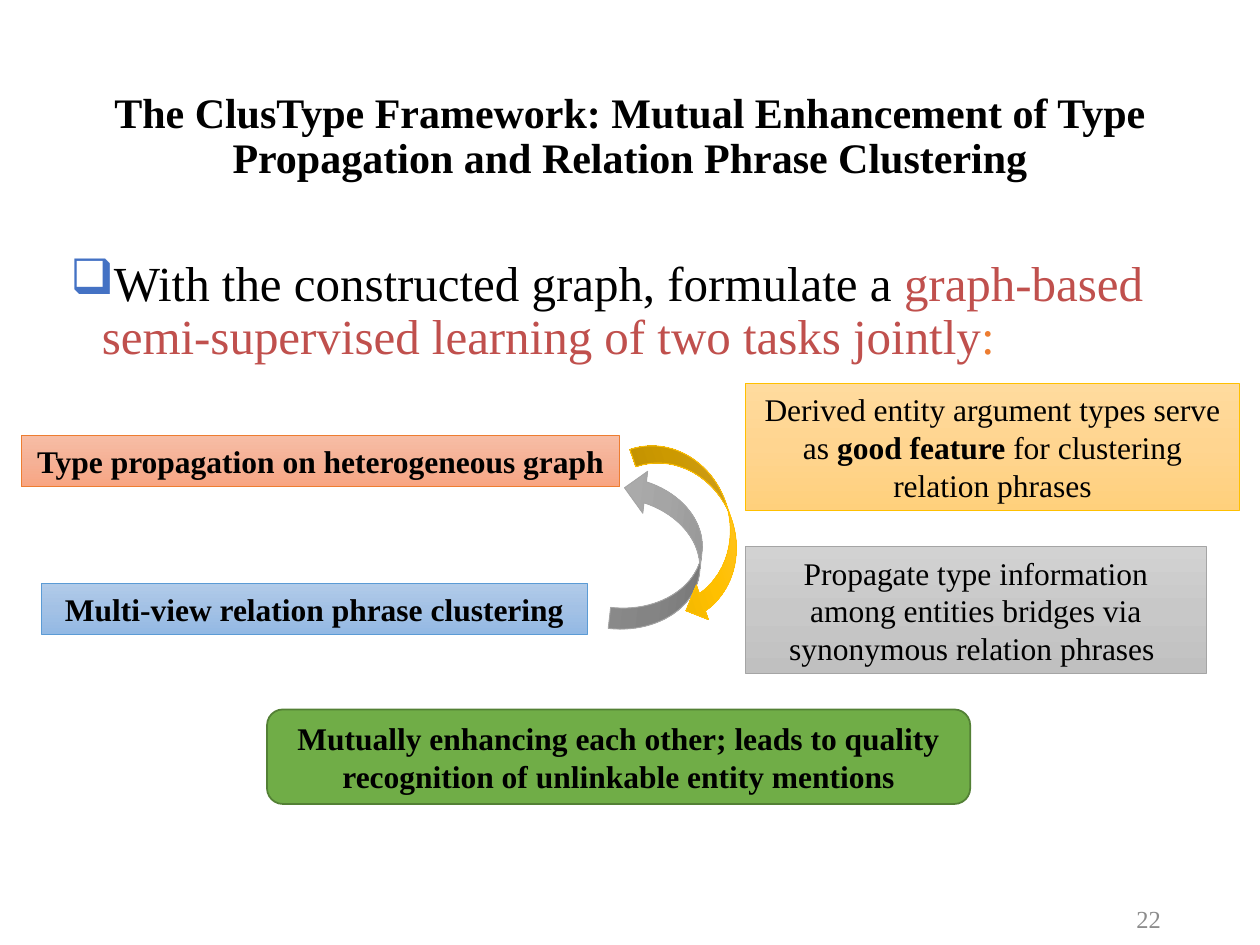
import copy

import pptx
import pptx.dml.color
import pptx.enum.shapes
import pptx.enum.text
import pptx.oxml
import pptx.oxml.ns
import pptx.util

Pt = pptx.util.Pt
SHAPES = pptx.enum.shapes.MSO_SHAPE
ALIGN = pptx.enum.text.PP_ALIGN
ANCHOR = pptx.enum.text.MSO_ANCHOR
FONT = "Times New Roman"

ORANGE = ("F7BDA5", "F5B196", "F8A582")
BLUE = ("B1CBE9", "A3C1E5", "93B9E4")
GRAY = ("D2D2D2", "C8C8C8", "C0C0C0")
GOLD = ("FFDB9E", "FFD590", "FFD07C")
GRAY_ARROW = ("AFAFAF", "A5A5A5", "939393")
GOLD_ARROW = ("FFC64B", "FFC000", "E3AB00")


def color(value):
    return pptx.dml.color.RGBColor.from_string(value)


def bounds(box):
    return [Pt(length) for length in box]


def write(shape, spans, size, align=ALIGN.CENTER, anchor=ANCHOR.MIDDLE, spacing=None):
    """Fill the shape with one paragraph of (text, format values) spans."""
    frame = shape.text_frame
    frame.word_wrap = True
    frame.vertical_anchor = anchor
    para = frame.paragraphs[0]
    para.alignment = align
    para.line_spacing = spacing
    for text, changes in spans:
        span = para.add_run()
        span.text = text
        values = {"name": FONT, "size": Pt(size), "bold": False, "color": "000000"}
        values.update(changes)
        span.font.color.rgb = color(values.pop("color"))
        for key, value in values.items():
            setattr(span.font, key, value)
    return para


def add_bullet(para, symbol, tint, indent):
    properties = para._p.get_or_add_pPr()
    properties.set("marL", str(Pt(indent)))
    properties.set("indent", str(-Pt(indent)))
    namespace = pptx.oxml.ns.nsdecls("a")
    for xml in (
        f'<a:buClr {namespace}><a:srgbClr val="{tint}"/></a:buClr>',
        f'<a:buChar {namespace} char="{symbol}"/>',
    ):
        properties.append(pptx.oxml.parse_xml(xml))


def fill_gradient(shape, tints):
    """Run three tints from the top of the shape to its bottom."""
    shape.fill.gradient()
    shape.fill.gradient_angle = 270
    stops = shape._element.spPr.find(".//" + pptx.oxml.ns.qn("a:gsLst"))
    stops.insert(1, copy.deepcopy(stops[0]))
    for stop, tint, position in zip(shape.fill.gradient_stops, tints, (0, 0.5, 1)):
        stop.color.rgb = color(tint)
        stop.position = position


def add_panel(page, kind, box, line, width=0.5, tints=None, solid=None):
    shape = page.shapes.add_shape(kind, *bounds(box))
    shape.shadow.inherit = False
    if tints:
        fill_gradient(shape, tints)
    else:
        shape.fill.solid()
        shape.fill.fore_color.rgb = color(solid)
    shape.line.color.rgb = color(line)
    shape.line.width = Pt(width)
    return shape


def add_title(page, box):
    title = "The ClusType Framework: Mutual Enhancement of Type Propagation and Relation Phrase Clustering"
    write(page.shapes.add_textbox(*bounds(box)), [(title, {"bold": True})], 24, spacing=0.9)


def add_statement(page, box):
    spans = [
        ("With the constructed graph, formulate a ", {}),
        ("graph-based semi-supervised learning of two tasks jointly", {"color": "C0504D"}),
        (":", {"color": "ED7D31"}),
    ]
    shape = page.shapes.add_textbox(*bounds(box))
    para = write(shape, spans, 28, ALIGN.LEFT, ANCHOR.TOP, 0.9)
    add_bullet(para, "❑", "4472C4", 18)


def add_diagram(page, box):
    """Two tasks on the left, the cycle between them, and its explanations on the right."""
    left, top, width, height = box
    bold = {"bold": True}
    panels = [
        ((0, 30.2, 342, 29), ORANGE, "ED7D31",
         [("Type propagation on heterogeneous graph", bold)]),
        ((11.5, 114.5, 312, 29), BLUE, "5B9BD5",
         [("Multi-view relation phrase clustering", bold)]),
        ((414, 93.5, 263, 72.7), GRAY, "A5A5A5",
         [("Propagate type information among entities bridges via synonymous relation phrases ", {})]),
        ((414, 0, 282, 72.7), GOLD, "FFC000",
         [("Derived entity argument types serve as ", {}), ("good feature ", bold),
          ("for clustering relation phrases", {})]),
    ]
    arrows = [
        (SHAPES.CURVED_UP_ARROW, (318.2, 72.7, 92.9, 48.2), 276.6, GRAY_ARROW, "A5A5A5"),
        (SHAPES.CURVED_DOWN_ARROW, (331.2, 61.2, 108, 41.8), 70.8, GOLD_ARROW, "FFC000"),
    ]
    for (x, y, wide, high), tints, line, spans in panels:
        place = (left + x, top + y, wide, high)
        write(add_panel(page, SHAPES.RECTANGLE, place, line, tints=tints), spans, 18)
    for kind, (x, y, wide, high), rotation, tints, line in arrows:
        place = (left + x, top + y, wide, high)
        add_panel(page, kind, place, line, tints=tints).rotation = rotation


def add_conclusion(page, box):
    text = "Mutually enhancing each other; leads to quality recognition of unlinkable entity mentions"
    shape = add_panel(page, SHAPES.ROUNDED_RECTANGLE, box, "538035", 1, solid="70AD47")
    write(shape, [(text, {"bold": True})], 18)


def add_page_number(page, box):
    shape = page.shapes.add_textbox(*bounds(box))
    write(shape, [("22", {"color": "8C8C8C"})], 14, ALIGN.RIGHT)


def main():
    deck = pptx.Presentation()
    deck.slide_width, deck.slide_height = Pt(720), Pt(540)
    page = deck.slides.add_slide(deck.slide_layouts[6])
    add_title(page, (49.5, 48.2, 621, 60.5))
    add_page_number(page, (508.5, 516.2, 162, 18))
    add_statement(page, (33.1, 144.7, 641.5, 48.2))
    add_diagram(page, (12.2, 218.9, 696, 166.2))
    add_conclusion(page, (152.6, 405.4, 401.8, 54))
    deck.save("out.pptx")


if __name__ == "__main__":
    main()
